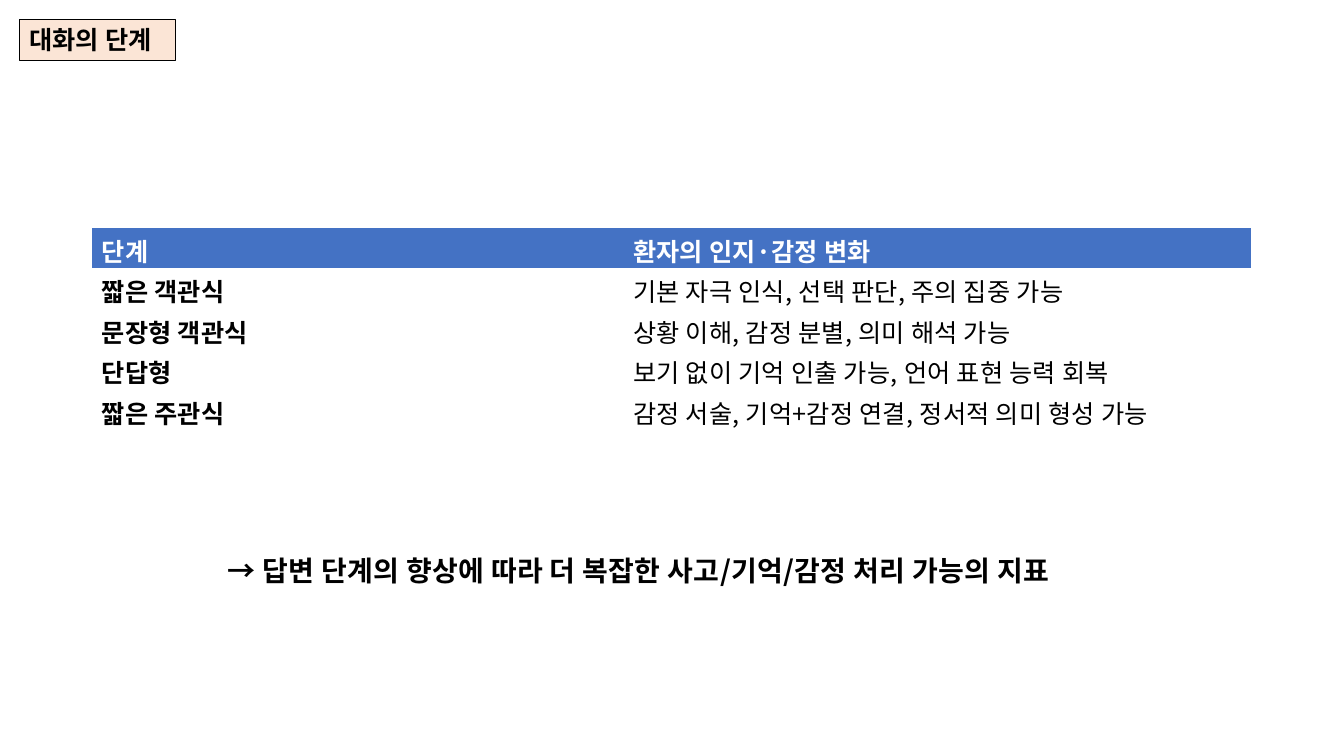
from dataclasses import dataclass

from lxml import etree
from pptx import Presentation
from pptx.dml.color import RGBColor
from pptx.enum.shapes import MSO_SHAPE
from pptx.enum.text import MSO_ANCHOR, PP_ALIGN
from pptx.oxml.ns import qn
from pptx.util import Inches, Pt

RECT = MSO_SHAPE.RECTANGLE
MIDDLE = MSO_ANCHOR.MIDDLE
LEFT = PP_ALIGN.LEFT
FONT = "Noto Sans CJK KR"
PLAIN_GRID = "{2D5ABB26-0587-4C30-8999-92F81FD0307C}"
COLORS = {"black": "000000", "white": "FFFFFF", "peach": "FBE5D6", "blue": "4472C4"}


@dataclass
class Stage:
    name: str
    change: str


HEAD = Stage("단계", "환자의 인지·감정 변화")
STAGES = [
    Stage("짧은 객관식", "기본 자극 인식, 선택 판단, 주의 집중 가능"),
    Stage("문장형 객관식", "상황 이해, 감정 분별, 의미 해석 가능"),
    Stage("단답형", "보기 없이 기억 인출 가능, 언어 표현 능력 회복"),
    Stage("짧은 주관식", "감정 서술, 기억+감정 연결, 정서적 의미 형성 가능"),
]


def color(name: str) -> RGBColor:
    return RGBColor.from_string(COLORS[name])


def write(frame, text: str, size: int = 18, ink: str = "black", bold: bool = True) -> None:
    """Add one run, its letters set apart by a hundredth of the font size."""
    para = frame.paragraphs[0]
    para.alignment = LEFT
    run = para.add_run()
    run.text = text
    font = run.font
    font.size, font.bold, font.name = Pt(size), bold, FONT
    font.color.rgb = color(ink)
    props = run._r.get_or_add_rPr()
    props.set("spc", str(size))
    etree.SubElement(props, qn("a:ea")).set("typeface", FONT)


def add_title(slide) -> None:
    box = slide.shapes.add_shape(RECT, Inches(0.19), Inches(0.19), Inches(1.55), Inches(0.41))
    box.shadow.inherit = False
    box.fill.solid()
    box.fill.fore_color.rgb = color("peach")
    box.line.color.rgb = color("black")
    box.line.width = Pt(0.75)
    box.text_frame.word_wrap = False
    box.text_frame.vertical_anchor = MIDDLE
    write(box.text_frame, "대화의 단계")


def add_stages(slide) -> None:
    rows = [HEAD, *STAGES]
    frame = slide.shapes.add_table(
        len(rows), 2, Inches(0.91), Inches(2.26), Inches(11.5), Inches(0.4 * len(rows)))
    table = frame.table
    table._tbl.tblPr.find(qn("a:tableStyleId")).text = PLAIN_GRID
    table.horz_banding = False
    for column, width in zip(table.columns, (5.27, 6.23)):
        column.width = Inches(width)
    for row, stage in enumerate(rows):
        head = stage is HEAD
        for col, text in enumerate((stage.name, stage.change)):
            cell = table.cell(row, col)
            cell.vertical_anchor = MIDDLE
            cell.margin_top, cell.margin_bottom = Inches(0.04), 0
            if head:
                cell.fill.solid()
                cell.fill.fore_color.rgb = color("blue")
            else:
                cell.fill.background()
            write(cell.text_frame, text, ink="white" if head else "black",
                  bold=head or col == 0)


def add_finding(slide) -> None:
    box = slide.shapes.add_textbox(Inches(2.16), Inches(5.44), Inches(9.19), Inches(0.44))
    box.text_frame.word_wrap = True
    write(box.text_frame, "→ 답변 단계의 향상에 따라 더 복잡한 사고/기억/감정 처리 가능의 지표", size=20)


def main() -> None:
    deck = Presentation()
    deck.slide_width, deck.slide_height = Inches(13.33), Inches(7.5)
    slide = deck.slides.add_slide(deck.slide_layouts[6])
    add_title(slide)
    add_stages(slide)
    add_finding(slide)
    deck.save("out.pptx")


if __name__ == "__main__":
    main()
